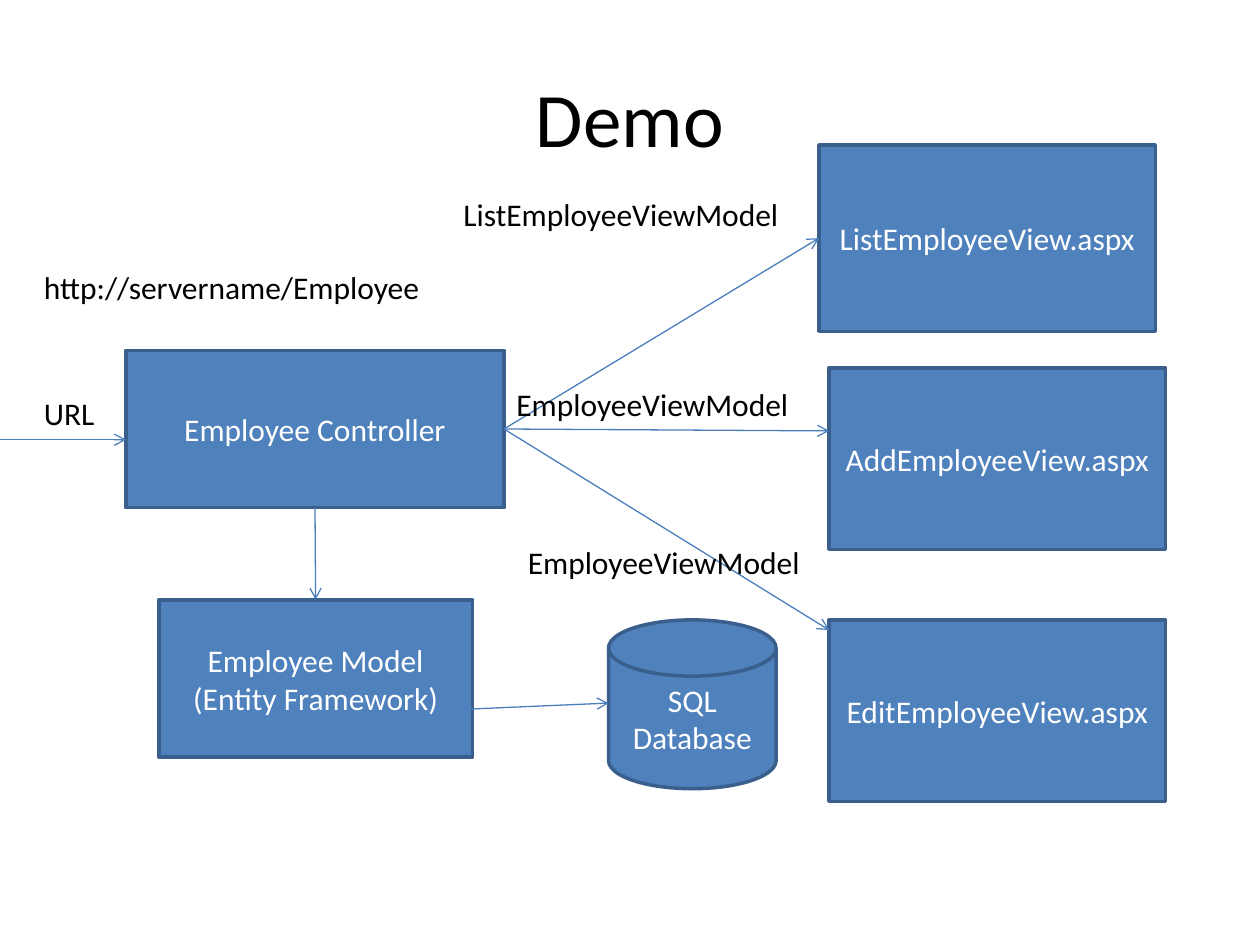
from dataclasses import dataclass

from lxml import etree
from pptx import Presentation
from pptx.dml.color import RGBColor
from pptx.enum.shapes import MSO_CONNECTOR, MSO_SHAPE
from pptx.enum.text import MSO_ANCHOR, PP_ALIGN
from pptx.oxml.ns import qn
from pptx.util import Inches, Pt

RECTANGLE = MSO_SHAPE.RECTANGLE
DISK = MSO_SHAPE.FLOWCHART_MAGNETIC_DISK
STRAIGHT = MSO_CONNECTOR.STRAIGHT
CENTER, LEFT = PP_ALIGN.CENTER, PP_ALIGN.LEFT
MIDDLE, TOP = MSO_ANCHOR.MIDDLE, MSO_ANCHOR.TOP
SIDE_TOP, SIDE_LEFT, SIDE_BOTTOM, SIDE_RIGHT = range(4)


@dataclass(frozen=True)
class Theme:
    font: str = "Calibri"
    title_size: Pt = Pt(44)
    body_size: Pt = Pt(18)
    text: RGBColor = RGBColor(0x00, 0x00, 0x00)
    box_text: RGBColor = RGBColor(0xFF, 0xFF, 0xFF)
    box_fill: RGBColor = RGBColor(0x4F, 0x81, 0xBD)
    box_line: RGBColor = RGBColor(0x3A, 0x5F, 0x8C)
    arrow: RGBColor = RGBColor(0x4B, 0x7E, 0xBC)


theme = Theme()


def write_text(shape, text, size, color, alignment, anchor, wrap=True):
    frame = shape.text_frame
    frame.word_wrap = wrap
    frame.vertical_anchor = anchor
    frame.text = text
    for paragraph in frame.paragraphs:
        paragraph.alignment = alignment
        paragraph.font.name = theme.font
        paragraph.font.size = size
        paragraph.font.color.rgb = color


presentation = Presentation()
presentation.slide_width = Inches(10)
presentation.slide_height = Inches(7.5)
slide = presentation.slides.add_slide(presentation.slide_layouts[6])

title = slide.shapes.add_textbox(Inches(0.5), Inches(0.3), Inches(9), Inches(1.25))
write_text(title, "Demo", theme.title_size, theme.text, CENTER, MIDDLE)

# Boxes: name, preset, text, left, top, width, height
boxes = {}
for name, preset, text, *bounds in [
    ("controller", RECTANGLE, "Employee Controller", 1, 2.78, 3, 1.25),
    ("model", RECTANGLE, "Employee Model\n(Entity Framework)", 1.26, 4.76, 2.49, 1.25),
    ("database", DISK, "SQL Database", 4.83, 4.92, 1.33, 1.34),
    ("list view", RECTANGLE, "ListEmployeeView.aspx", 6.5, 1.15, 2.67, 1.48),
    ("add view", RECTANGLE, "AddEmployeeView.aspx", 6.58, 2.92, 2.67, 1.44),
    ("edit view", RECTANGLE, "EditEmployeeView.aspx", 6.58, 4.92, 2.67, 1.44),
]:
    box = slide.shapes.add_shape(preset, *map(Inches, bounds))
    box.shadow.inherit = False
    box.fill.solid()
    box.fill.fore_color.rgb = theme.box_fill
    box.line.color.rgb = theme.box_line
    box.line.width = Pt(2)
    write_text(box, text, theme.body_size, theme.box_text, CENTER, MIDDLE)
    boxes[name] = box

# Arrows: start point, end point, then the joined box and side at each end
controller_exit = ("controller", SIDE_RIGHT)
for start, end, start_joint, end_joint in [
    ((0, 3.49), (1, 3.49), None, None),
    ((3.67, 5.63), (4.83, 5.58), None, None),
    ((2.5, 4.03), (2.5, 4.76), ("controller", SIDE_BOTTOM), ("model", SIDE_TOP)),
    ((4, 3.4), (6.5, 1.89), controller_exit, ("list view", SIDE_LEFT)),
    ((4, 3.4), (6.58, 3.42), controller_exit, None),
    ((4, 3.4), (6.58, 5), controller_exit, None),
]:
    arrow = slide.shapes.add_connector(STRAIGHT, *map(Inches, start + end))
    if start_joint:
        arrow.begin_connect(boxes[start_joint[0]], start_joint[1])
    if end_joint:
        arrow.end_connect(boxes[end_joint[0]], end_joint[1])
    arrow.line.color.rgb = theme.arrow
    arrow.line.width = Pt(0.75)
    etree.SubElement(arrow.line._get_or_add_ln(), qn("a:tailEnd"), type="arrow")
    etree.SubElement(arrow._element.spPr, qn("a:effectLst"))

# Labels: text, left, top, width, wrap
for text, left, top, width, wrap in [
    ("URL", 0.25, 3.08, 0.61, False),
    ("http://servername/Employee", 0.25, 2.08, 3.28, False),
    ("ListEmployeeViewModel", 3.58, 1.5, 2.83, True),
    ("EmployeeViewModel", 4, 3.01, 2.83, True),
    ("EmployeeViewModel", 4.09, 4.26, 2.49, True),
]:
    label = slide.shapes.add_textbox(Inches(left), Inches(top), Inches(width), Inches(0.4))
    write_text(label, text, theme.body_size, theme.text, LEFT, TOP, wrap)

presentation.save("out.pptx")
